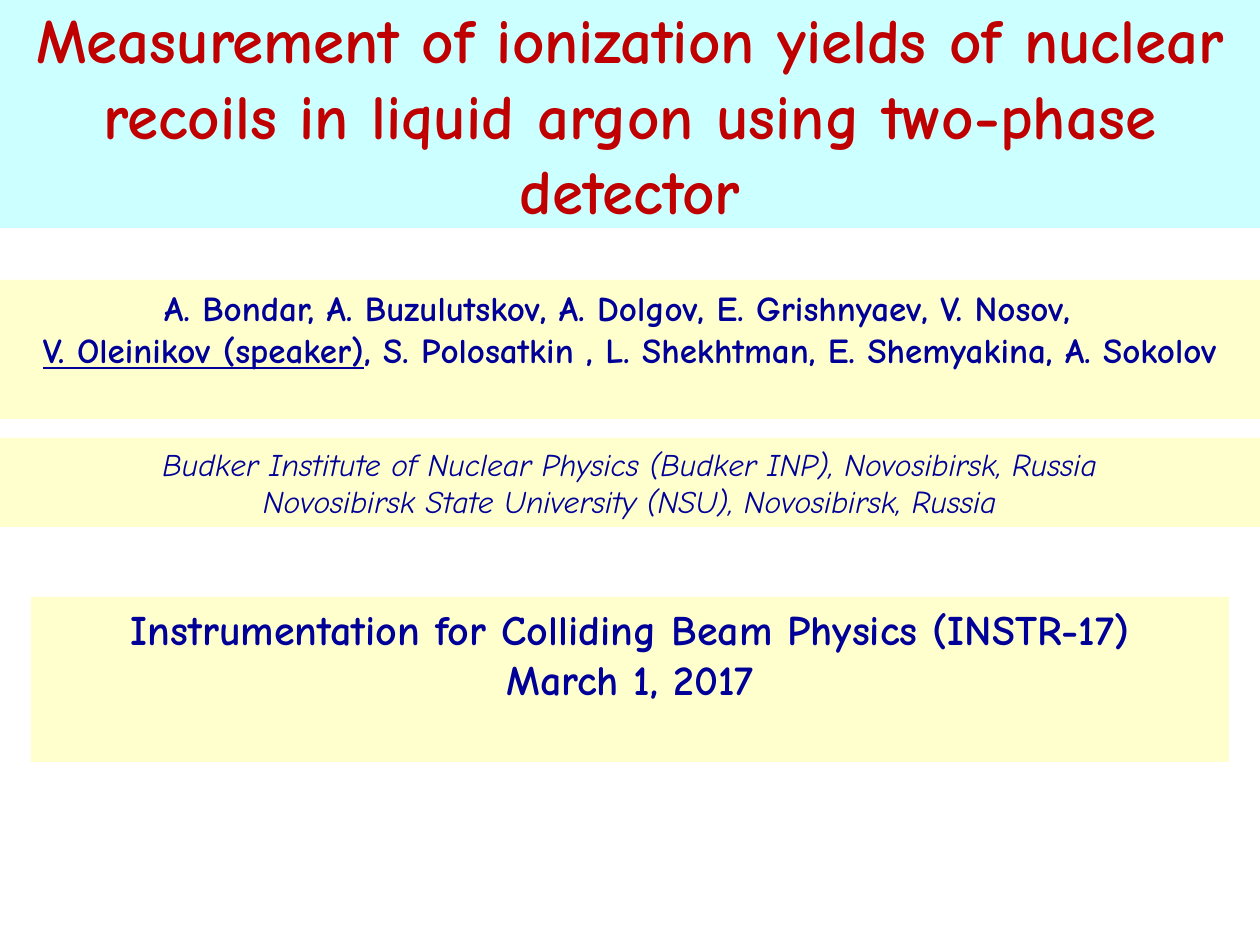
from dataclasses import dataclass

from pptx import Presentation
from pptx.dml.color import RGBColor
from pptx.enum.text import MSO_ANCHOR, MSO_AUTO_SIZE, PP_ALIGN
from pptx.util import Inches, Pt

TOP, MIDDLE = MSO_ANCHOR.TOP, MSO_ANCHOR.MIDDLE
FIXED = MSO_AUTO_SIZE.NONE
CENTER = PP_ALIGN.CENTER
SCALE = Inches(1) / 126


def px(n):
    return round(n * SCALE)


@dataclass(frozen=True)
class Theme:
    font: str = "Comic Neue"
    cyan: str = "CCFFFF"
    cream: str = "FFFFCD"
    red: str = "C00000"
    navy: str = "000099"
    head: int = 36
    event: int = 24
    names: int = 20
    place: int = 18


def write(par, text, font, size, color, bold=False, italic=False, under=False):
    run = par.add_run()
    run.text = text
    face = run.font
    face.name, face.size = font, Pt(size)
    face.color.rgb = RGBColor.from_string(color)
    face.bold, face.italic, face.underline = bold, italic, under


class Deck:
    def __init__(self, theme):
        self.theme = theme
        self.file = Presentation()
        self.file.slide_width, self.file.slide_height = px(1260), px(945)
        self.slide = self.file.slides.add_slide(self.file.slide_layouts[0])

    def fill(self, shape, box, lines, back, anchor=TOP, hang=0, **style):
        shape.left, shape.top, shape.width, shape.height = map(px, box)
        shape.fill.solid()
        shape.fill.fore_color.rgb = RGBColor.from_string(back)
        frame = shape.text_frame
        frame.word_wrap, frame.auto_size = True, FIXED
        frame.vertical_anchor = anchor
        for i, line in enumerate(lines):
            par = frame.add_paragraph() if i else frame.paragraphs[0]
            par.alignment = CENTER
            par.space_before = Pt(0)
            props = par._p.get_or_add_pPr()
            props.set("marL", str(px(hang)))
            props.set("indent", str(-px(hang)))
            for text, under in line:
                write(par, text, self.theme.font, under=under, **style)

    def title(self, box, lines, **style):
        self.fill(self.slide.shapes.title, box, lines, **style)

    def body(self, box, lines, **style):
        self.fill(self.slide.placeholders[1], box, lines, **style)

    def band(self, box, lines, **style):
        shape = self.slide.shapes.add_textbox(*map(px, box))
        self.fill(shape, box, lines, **style)


def main():
    theme = Theme()
    deck = Deck(theme)
    note = dict(back=theme.cream, color=theme.navy)
    deck.title(
        (0, 0, 1260, 228),
        [[("Measurement of ionization yields of nuclear recoils "
           "in liquid argon using two-phase detector", False)]],
        back=theme.cyan, color=theme.red, size=theme.head,
        bold=True, anchor=MIDDLE)
    deck.body(
        (0, 280, 1260, 139),
        [[("A. Bondar, A. Buzulutskov, A. Dolgov, E. Grishnyaev, V. Nosov,  ", False)],
         [("V. Oleinikov (speaker)", True),
          (", S. Polosatkin , L. Shekhtman, E. Shemyakina, A. Sokolov", False)]],
        size=theme.names, bold=True, hang=63, **note)
    deck.band(
        (0, 438, 1260, 89),
        [[("Budker Institute of Nuclear Physics (Budker INP), Novosibirsk, Russia", False)],
         [("Novosibirsk State University (NSU), Novosibirsk, Russia", False)]],
        size=theme.place, italic=True, anchor=MIDDLE, **note)
    deck.band(
        (31, 597, 1198, 165),
        [[("Instrumentation for Colliding Beam Physics (INSTR-17)", False)],
         [("March 1, 2017", False)]],
        size=theme.event, bold=True, hang=48, **note)
    deck.file.save("out.pptx")


if __name__ == "__main__":
    main()
